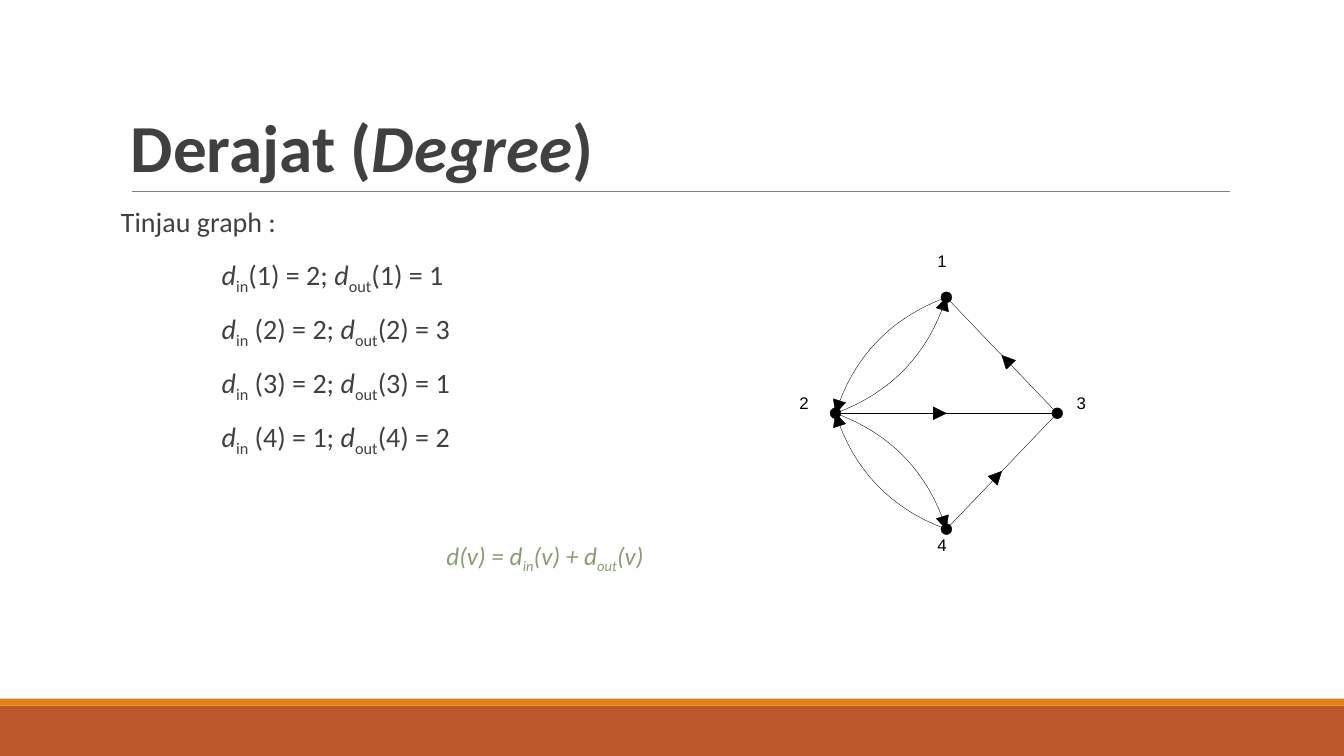
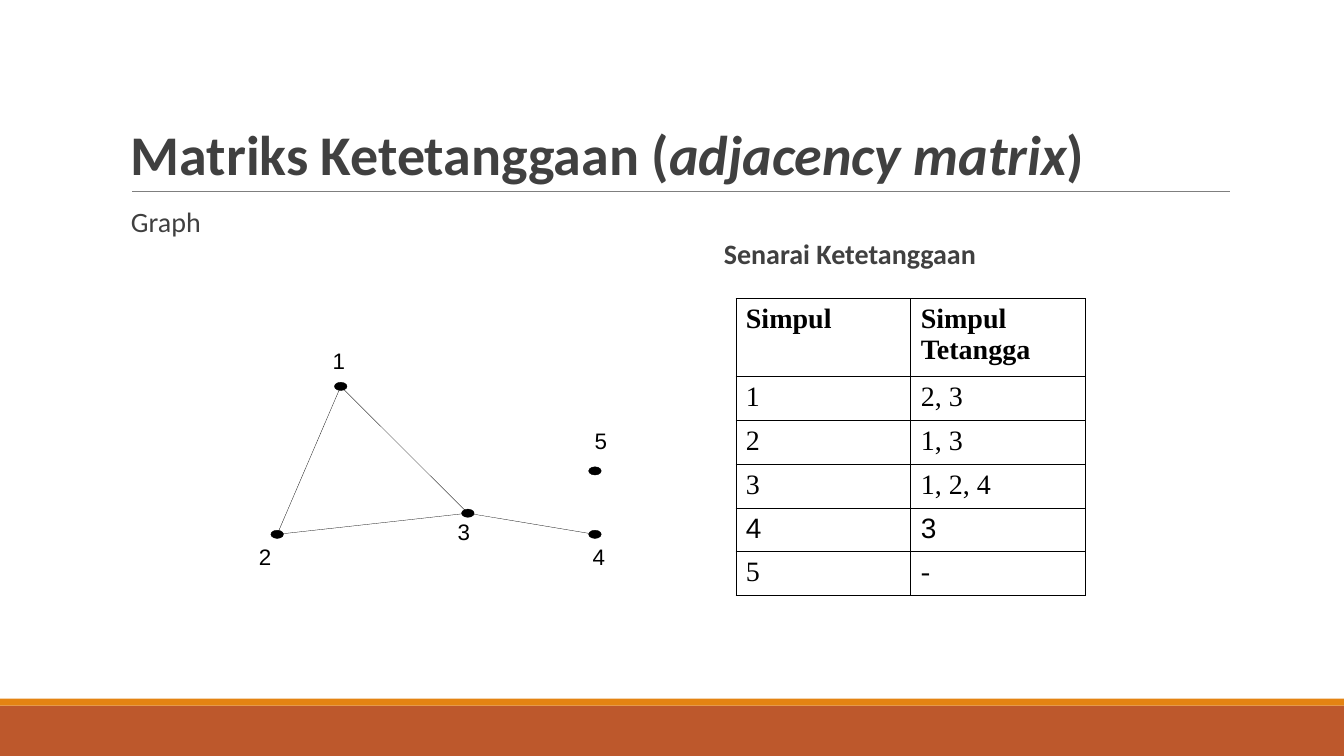
import math

import pptx
import pptx.util
import pptx.dml.color
import pptx.enum.shapes
import pptx.enum.text
import pptx.oxml
from pptx.oxml.ns import nsdecls, qn

Pt = pptx.util.Pt
INK = "404040"
BLACK = "000000"
RUST = "BD582C"
AMBER = "E48312"
GRAY = "7F7F7F"
SAGE = "8B9B76"
SERIF = "Times New Roman"


def color(code):
    return pptx.dml.color.RGBColor.from_string(code)


def paint(shape, fill, edge=None, width=0.25):
    shape.shadow.inherit = False
    if fill:
        shape.fill.solid()
        shape.fill.fore_color.rgb = color(fill)
    else:
        shape.fill.background()
    if edge:
        shape.line.color.rgb = color(edge)
        shape.line.width = Pt(width)
    else:
        shape.line.fill.background()


def style(run, size, font, ink, marks=""):
    run.font.size = Pt(size)
    run.font.name = font
    run.font.color.rgb = color(ink)
    run.font.bold = "b" in marks
    run.font.italic = "i" in marks
    if "s" in marks:
        run._r.get_or_add_rPr().set("baseline", "-25000")


def text(slide, box, lines, size, font="Calibri", ink=INK, pad=(7.2, 3.6),
         wrap=True, anchor="TOP", space=None, gaps=(0, 0), indents=None):
    frame = slide.shapes.add_textbox(*map(Pt, box)).text_frame
    frame.word_wrap = wrap
    frame.vertical_anchor = getattr(pptx.enum.text.MSO_ANCHOR, anchor)
    frame.margin_left = frame.margin_right = Pt(pad[0])
    frame.margin_top = frame.margin_bottom = Pt(pad[1])
    for index, parts in enumerate(lines):
        para = frame.add_paragraph() if index else frame.paragraphs[0]
        if space:
            para.line_spacing = space
        para.space_before, para.space_after = map(Pt, gaps)
        if indents:
            para._p.get_or_add_pPr().set("marL", str(Pt(indents[index])))
        for words, marks in parts:
            run = para.add_run()
            run.text = words
            style(run, size, font, ink, marks)


def body(slide, box, lines, indents):
    text(slide, box, lines, 20, pad=(0, 3.6), space=0.9, gaps=(12, 2),
         indents=indents)


def line(slide, start, end, ink=BLACK, width=0.25):
    link = slide.shapes.add_connector(
        pptx.enum.shapes.MSO_CONNECTOR.STRAIGHT, *map(Pt, (*start, *end)))
    link.line.color.rgb = color(ink)
    link.line.width = Pt(width)
    link._element.spPr.append(
        pptx.oxml.parse_xml(f"<a:effectLst {nsdecls('a')}/>"))


def trace(slide, points, fill=None):
    first, *rest = [tuple(map(Pt, point)) for point in points]
    draft = slide.shapes.build_freeform(*first)
    draft.add_line_segments(rest, close=bool(fill))
    paint(draft.convert_to_shape(), fill, BLACK)


def head(slide, tip, tail, length=9.4, half=4.6):
    dx, dy = tip[0] - tail[0], tip[1] - tail[1]
    size = math.hypot(dx, dy)
    ux, uy = dx / size, dy / size
    x, y = tip[0] - length * ux, tip[1] - length * uy
    trace(slide, [(x - half * uy, y + half * ux), tip,
                  (x + half * uy, y - half * ux)], BLACK)


def middle(start, end):
    return (start[0] + end[0]) / 2, (start[1] + end[1]) / 2


def arc(slide, start, end, bulge, steps=16):
    dx, dy = end[0] - start[0], end[1] - start[1]
    lift = 2 * bulge / math.hypot(dx, dy)
    x, y = middle(start, end)
    bend = x - lift * dy, y + lift * dx
    points = []
    for step in range(steps + 1):
        t = step / steps
        points.append(tuple(
            (1 - t) ** 2 * a + 2 * t * (1 - t) * b + t ** 2 * c
            for a, b, c in zip(start, bend, end)))
    trace(slide, points)
    head(slide, end, bend)


def nodes(slide, spots, tags, wide, high, size):
    for key, (x, y) in spots.items():
        dot = slide.shapes.add_shape(
            pptx.enum.shapes.MSO_SHAPE.OVAL,
            *map(Pt, (x - wide / 2, y - high / 2, wide, high)))
        paint(dot, BLACK, BLACK)
        text(slide, (*tags[key], size * 0.56, size * 1.2), [[(str(key), "")]],
             size, "Arial", BLACK, pad=(0, 0), wrap=False)


def border(cell):
    props = cell._tc.get_or_add_tcPr()
    for side in "LRTB":
        props.append(pptx.oxml.parse_xml(
            f'<a:ln{side} {nsdecls("a")} w="{Pt(0.45)}"><a:solidFill>'
            f'<a:srgbClr val="{BLACK}"/></a:solidFill></a:ln{side}>'))


def table(slide, spot, rows, width, tall, high):
    heights = [tall] + [high] * (len(rows) - 1)
    count = len(rows[0])
    grid = slide.shapes.add_table(
        len(rows), count,
        *map(Pt, (*spot, width * count, sum(heights)))).table
    grid.first_row = grid.horz_banding = False
    for column in grid.columns:
        column.width = Pt(width)
    for r, words in enumerate(rows):
        grid.rows[r].height = Pt(heights[r])
        for c, word in enumerate(words):
            cell = grid.cell(r, c)
            border(cell)
            cell.fill.background()
            cell.text_frame.text = word
            para = cell.text_frame.paragraphs[0]
            para.alignment = pptx.enum.text.PP_ALIGN.JUSTIFY
            style(para.runs[0], 20, "Arial" if r == 4 else SERIF, BLACK,
                  "" if r else "b")


def page(deck, title, size):
    slide = deck.slides.add_slide(deck.slide_layouts[6])
    for top, high, fill in ((504, 36, RUST), (499, 5, AMBER)):
        band = slide.shapes.add_shape(
            pptx.enum.shapes.MSO_SHAPE.RECTANGLE,
            *map(Pt, (0, top, 960, high)))
        paint(band, fill)
    line(slide, (94.5, 136.9), (878.4, 136.9), GRAY, 0.5)
    text(slide, (86.4, 22.4, 792, 114.4), [title], size, anchor="BOTTOM",
         space=0.85)
    return slide


def degree(deck):
    slide = page(deck, [("Derajat (", "b"), ("Degree", "bi"), (")", "b")], 48)
    lines = [[("Tinjau graph :", "")]]
    for first, last in (("(1) = 2; ", "(1) = 1"), (" (2) = 2; ", "(2) = 3"),
                        (" (3) = 2; ", "(3) = 1"), (" (4) = 1; ", "(4) = 2")):
        lines.append([("d", "i"), ("in", "s"), (first, ""),
                      ("d", "i"), ("out", "s"), (last, "")])
    body(slide, (86.4, 145.4, 792, 316.8), lines, [0] + [72] * 4)

    x, y, dx, dy = 676, 295.2, 79.2, 82.8
    spots = {1: (x, y - dy), 2: (x - dx, y), 3: (x + dx, y), 4: (x, y + dy)}
    tags = {1: (669.6, 179.3), 2: (571, 280.8),
            3: (769, 280.8), 4: (669.6, 382.3)}
    nodes(slide, spots, tags, 7.8, 7.8, 12)
    for start, end, bulge in ((1, 2, 14), (2, 1, 14), (4, 2, -14), (2, 4, -14)):
        arc(slide, spots[start], spots[end], bulge)
    for start, end in ((3, 1), (2, 3), (4, 3)):
        line(slide, spots[start], spots[end])
        head(slide, middle(spots[start], spots[end]), spots[start])

    text(slide, (311.8, 382.3, 194.4, 31.7),
         [[("d(v) = d", "i"), ("in", "is"), ("(v) + d", "i"),
           ("out", "is"), ("(v)", "i")]], 18, ink=SAGE)


def matrix(deck):
    slide = page(deck, [("Matriks Ketetanggaan (", "b"),
                        ("adjacency matrix", "bi"), (")", "b")], 40)
    body(slide, (86.4, 145.4, 388.8, 316.8), [[("Graph", "")]], [7.2])
    body(slide, (509.8, 167.8, 327.6, 288),
         [[("Senarai Ketetanggaan", "b")]], [7.2])

    steps = {1: (1, 0), 2: (0, 7), 3: (3, 6), 4: (5, 7), 5: (5, 4)}
    spots = {key: (198 + 45.4 * x, 276 + 15.1 * y)
             for key, (x, y) in steps.items()}
    tags = {1: (237.6, 247.7), 2: (185, 388), 3: (326.9, 370),
            4: (423.4, 388), 5: (424.8, 305.3)}
    nodes(slide, spots, tags, 9, 5.9, 16)
    for start, end in ((1, 2), (3, 4), (2, 3), (1, 3)):
        line(slide, spots[start], spots[end], width=0.2)

    table(slide, (525.6, 213.1),
          [("Simpul", "Simpul Tetangga"), ("1", "2, 3"), ("2", "1, 3"),
           ("3", "1, 2, 4"), ("4", "3"), ("5", "-")], 124.9, 56, 31.1)


def main():
    deck = pptx.Presentation()
    deck.slide_width, deck.slide_height = Pt(960), Pt(540)
    degree(deck)
    matrix(deck)
    deck.save("out.pptx")


if __name__ == "__main__":
    main()
